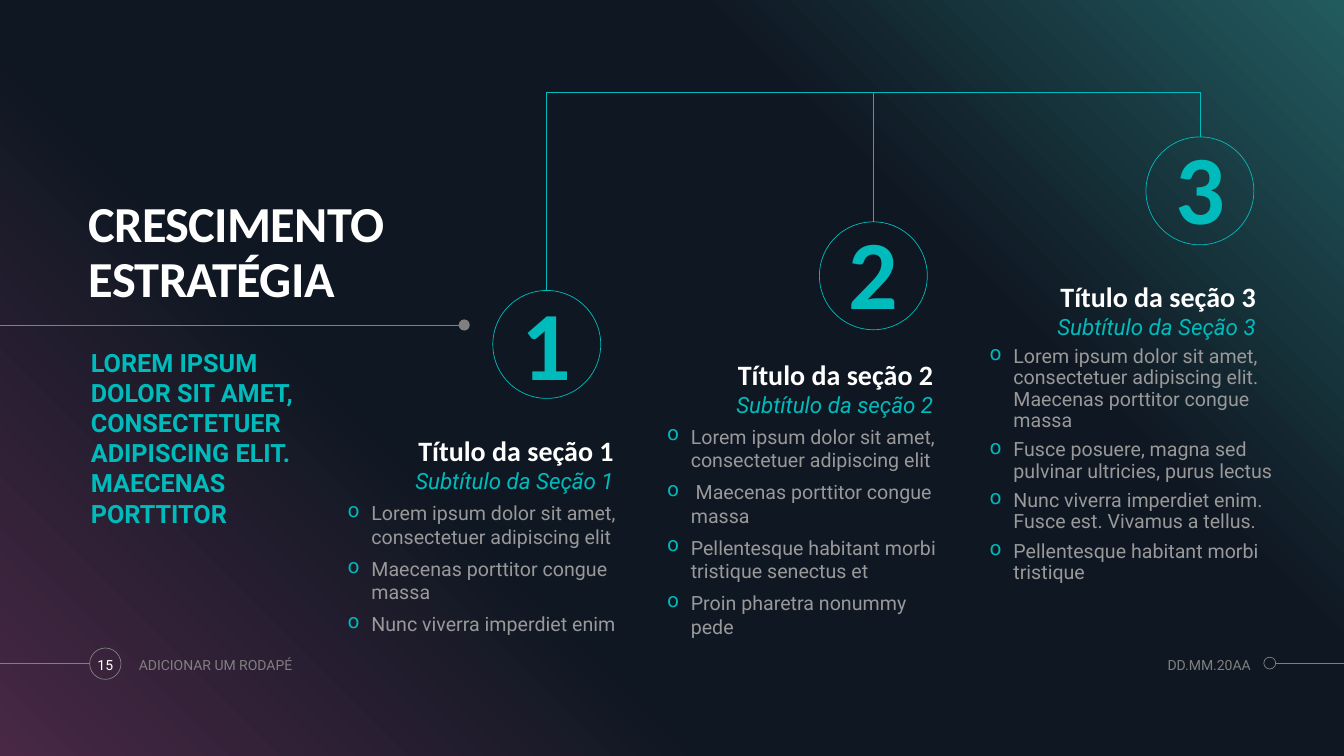
from lxml.etree import SubElement
from pptx import Presentation
from pptx.dml.color import RGBColor
from pptx.enum.shapes import MSO_CONNECTOR, MSO_SHAPE
from pptx.enum.text import MSO_ANCHOR, PP_ALIGN
from pptx.oxml.ns import qn
from pptx.util import Cm, Pt

HUES = {
    "plum": "482845", "night": "0F1722", "pine": "225B5F", "teal": "00BBBB",
    "white": "FFFFFF", "gray": "808080", "pale": "999999",
}
LEFT, MID, RIGHT = PP_ALIGN.LEFT, PP_ALIGN.CENTER, PP_ALIGN.RIGHT
TOP, HALF, LOW = MSO_ANCHOR.TOP, MSO_ANCHOR.MIDDLE, MSO_ANCHOR.BOTTOM

deck = Presentation()
deck.slide_width, deck.slide_height = Cm(33.87), Cm(19.05)
slide = deck.slides.add_slide(deck.slide_layouts[6])
shapes = slide.shapes


def put(text, box, host=None, size=10, hue="gray", font="Roboto", bold=False,
        slant=False, align=LEFT, anchor=TOP, pads=(0, 0, 0, 0), gap=1.0,
        kern=None, dots=False):
    """Write text, one paragraph per list item, in host or a new text box."""
    host = host or shapes.add_textbox(*map(Cm, box))
    frame = host.text_frame
    frame.word_wrap, frame.vertical_anchor = True, anchor
    (frame.margin_left, frame.margin_top,
     frame.margin_right, frame.margin_bottom) = map(Cm, pads)
    for i, item in enumerate([text] if isinstance(text, str) else text):
        para = frame.add_paragraph() if i else frame.paragraphs[0]
        para.text, para.alignment, para.line_spacing = item, align, gap
        para.space_before = Pt(6 if i else 0)
        if dots:
            props = para._p.get_or_add_pPr()
            props.set("marL", str(Cm(0.6)))
            props.set("indent", str(-Cm(0.6)))
            tint = SubElement(props, qn("a:buClr"))
            SubElement(tint, qn("a:srgbClr"), val=HUES["teal"])
            SubElement(props, qn("a:buChar"), char="o")
        for run in para.runs:
            run.font.name, run.font.size = font, Pt(size)
            run.font.bold, run.font.italic = bold, slant
            run.font.color.rgb = RGBColor.from_string(HUES[hue])
            if kern:
                run._r.get_or_add_rPr().set("spc", str(kern))


def ring(x, y, size, hue, solid=False):
    """Draw a circle, either solid or as an outline."""
    disc = shapes.add_shape(MSO_SHAPE.OVAL, Cm(x), Cm(y), Cm(size), Cm(size))
    disc.shadow.inherit = False
    if solid:
        disc.fill.solid()
        disc.fill.fore_color.rgb = RGBColor.from_string(HUES[hue])
        disc.line.fill.background()
    else:
        disc.fill.background()
        disc.line.color.rgb = RGBColor.from_string(HUES[hue])
        disc.line.width = Pt(0.5)
    return disc


# Backdrop
back = shapes.add_shape(MSO_SHAPE.RECTANGLE, 0, 0, deck.slide_width, deck.slide_height)
back.shadow.inherit = False
back.line.fill.background()
back.fill.gradient()
back.fill.gradient_angle = 45
stops = back._element.spPr.find(qn("a:gradFill")).find(qn("a:gsLst"))
for old in list(stops):
    stops.remove(old)
for part, hue in ((0, "plum"), (34, "night"), (69, "night"), (100, "pine")):
    stop = SubElement(stops, qn("a:gs"), pos=str(part * 1000))
    SubElement(stop, qn("a:srgbClr"), val=HUES[hue])

# Title and lead text
put("CRESCIMENTO\nESTRATÉGIA", (2.24, 4.19, 10.21, 3.58), size=36, hue="white",
    font="Calibri", bold=True, anchor=LOW, gap=0.9, kern=-50)
put("LOREM IPSUM DOLOR SIT AMET, CONSECTETUER ADIPISCING ELIT. MAECENAS PORTTITOR",
    (2.29, 8.74, 6.15, 5.82), size=18, hue="teal", bold=True)
ring(11.56, 8.05, 0.28, "gray", solid=True)

# Sections: ring top, text left, text top, digit pad, line gap, subtitle, points
steps = [
    (7.32, 8.76, 10.8, 0.2, 1.0, "Subtítulo da Seção 1", [
        "Lorem ipsum dolor sit amet, consectetuer adipiscing elit",
        "Maecenas porttitor congue massa",
        "Nunc viverra imperdiet enim"]),
    (5.59, 16.81, 8.87, 0.1, 1.0, "Subtítulo da seção 2", [
        "Lorem ipsum dolor sit amet, consectetuer adipiscing elit",
        " Maecenas porttitor congue massa",
        "Pellentesque habitant morbi tristique senectus et",
        "Proin pharetra nonummy pede"]),
    (3.45, 24.94, 6.91, 0.1, 0.9, "Subtítulo da Seção 3", [
        "Lorem ipsum dolor sit amet, consectetuer adipiscing elit. "
        "Maecenas porttitor congue massa",
        "Fusce posuere, magna sed pulvinar ultricies, purus lectus",
        "Nunc viverra imperdiet enim. Fusce est. Vivamus a tellus.",
        "Pellentesque habitant morbi tristique"]),
]
SIZE, RAIL = 2.72, 2.32
stems = []
for i, (high, x, y, pad, gap, sub, points) in enumerate(steps):
    left = 12.42 + 8.23 * i
    disc = ring(left, high, SIZE, "teal")
    put(str(i + 1), None, host=disc, size=70, hue="teal", font="Calibri", bold=True,
        align=MID, anchor=HALF, pads=(0, pad, 0, 0), gap=0.9)
    put(f"Título da seção {i + 1}", (x, y, 6.71, 0.99), size=20, hue="white",
        font="Calibri", bold=True, align=RIGHT, anchor=LOW, gap=0.9)
    put(sub, (x, y + 1, 6.71, 0.66), size=16, hue="teal", slant=True,
        align=RIGHT, anchor=LOW, gap=0.9)
    put(points, (x, y + 1.83, 7.19, 1.2 * len(points)), size=14, hue="pale",
        gap=gap, dots=True)
    mid = left + SIZE / 2
    stems.append((mid, high, mid, RAIL, "teal", disc))

# Footer
ring(2.26, 16.33, 0.79, "gray")
ring(31.85, 16.56, 0.3, "gray")
put("15", (2.16, 16.33, 0.99, 0.84), hue="white", align=MID, anchor=HALF)
put("ADICIONAR UM RODAPÉ", (3.25, 16.33, 8.1, 0.84), anchor=HALF,
    pads=(0.25, 0.13, 0.25, 0.13))
put("DD.MM.20AA", (27.81, 16.33, 3.71, 0.84), align=RIGHT, anchor=HALF)

# Lines
lines = stems + [
    (stems[0][0], RAIL, stems[-1][0], RAIL, "teal", None),
    (0, 8.19, 11.7, 8.19, "gray", None),
    (0, 16.72, 2.26, 16.72, "gray", None),
    (32.15, 16.71, 33.87, 16.71, "gray", None),
]
for x1, y1, x2, y2, hue, disc in lines:
    line = shapes.add_connector(MSO_CONNECTOR.STRAIGHT, Cm(x1), Cm(y1), Cm(x2), Cm(y2))
    line.line.color.rgb = RGBColor.from_string(HUES[hue])
    line.line.width = Pt(0.5)
    SubElement(line._element.spPr, qn("a:effectLst"))
    if disc:
        line.begin_connect(disc, 0)

deck.save("out.pptx")
